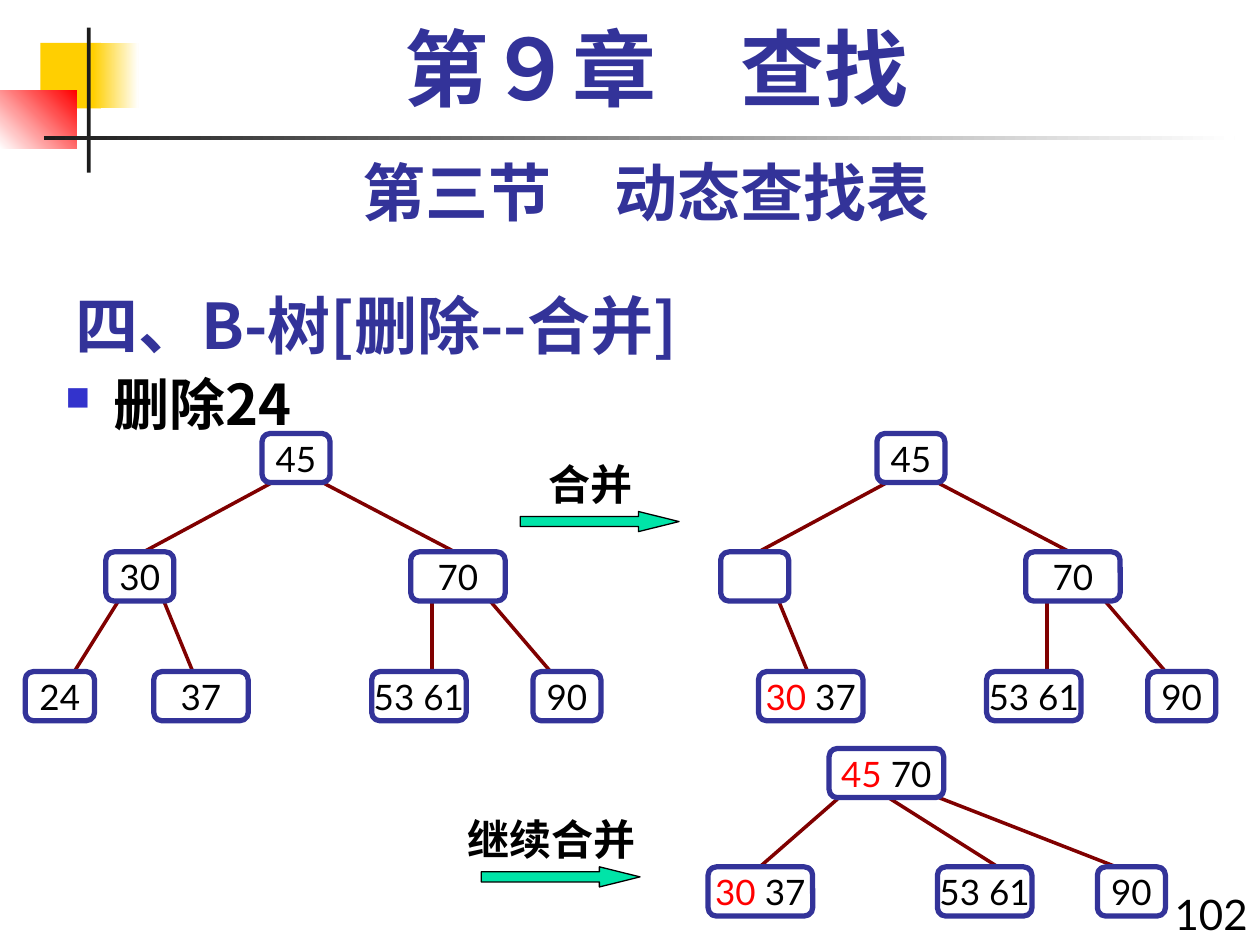
"""Build the slide on deleting a key from a B-tree by merging nodes."""
from lxml.etree import SubElement
from pptx import Presentation
from pptx.dml.color import RGBColor
from pptx.enum.shapes import MSO_CONNECTOR, MSO_SHAPE
from pptx.enum.text import MSO_ANCHOR, PP_ALIGN
from pptx.oxml.ns import qn
from pptx.util import Inches, Pt

BLACK = RGBColor(0x00, 0x00, 0x00)
WHITE = RGBColor(0xFF, 0xFF, 0xFF)
DARK = RGBColor(0x1C, 0x1C, 0x1C)
NAVY = RGBColor(0x33, 0x33, 0x99)
RED = RGBColor(0xFF, 0x00, 0x00)
GOLD = RGBColor(0xFF, 0xCF, 0x01)
GREEN = RGBColor(0x00, 0xE4, 0xA8)
MAROON = RGBColor(0x80, 0x00, 0x00)
NOTO = "Noto Sans CJK SC"
LATO = "Lato"
TIMES = "Times New Roman"
HIGH = 0.39


class Deck:
    """Hold the style and the current slide."""

    def __init__(self):
        self.prs = Presentation()
        self.prs.slide_width = Inches(10)
        self.prs.slide_height = Inches(7.5)
        self.slide = self.prs.slides.add_slide(self.prs.slide_layouts[6])
        self.shapes = self.slide.shapes

    def shape(self, kind, box, root=None):
        """Add a preset shape without shadow."""
        item = (root or self.shapes).add_shape(kind, *map(Inches, box))
        item.shadow.inherit = False
        return item

    def run(self, para, text, size, font=LATO, color=BLACK, bold=False):
        """Add one styled run."""
        run = para.add_run()
        run.text = text
        run.font.size = Pt(size)
        run.font.name = font
        run.font.bold = bold
        run.font.color.rgb = color
        SubElement(run.font._element, qn("a:ea")).set("typeface", NOTO)

    def text(self, box, text, size, font=LATO, color=BLACK, bold=True,
             align=PP_ALIGN.CENTER, anchor=MSO_ANCHOR.TOP):
        """Add a text box and return its paragraph."""
        frame = self.shapes.add_textbox(*map(Inches, box)).text_frame
        frame.word_wrap = True
        frame.vertical_anchor = anchor
        para = frame.paragraphs[0]
        para.alignment = align
        self.run(para, text, size, font, color, bold)
        return para

    def bullet(self, box, text):
        """Add a bulleted line."""
        para = self.text(box, text, 32, NOTO, align=PP_ALIGN.LEFT)
        props = para._p.get_or_add_pPr()
        props.set("marL", str(Inches(0.38)))
        props.set("indent", str(Inches(-0.38)))
        color = SubElement(props, qn("a:buClr"))
        SubElement(color, qn("a:srgbClr")).set("val", "3333CC")
        SubElement(props, qn("a:buSzPct")).set("val", "60000")
        SubElement(props, qn("a:buChar")).set("char", "■")

    def block(self, box, start, end=None, angle=0):
        """Add a borderless block, plain or with a gradient."""
        item = self.shape(MSO_SHAPE.RECTANGLE, box)
        item.line.fill.background()
        if end is None:
            item.fill.solid()
            item.fill.fore_color.rgb = start
            return
        item.fill.gradient()
        item.fill.gradient_angle = angle
        for stop, color, place in zip(item.fill.gradient_stops, (start, end), (0, 1)):
            stop.color.rgb = color
            stop.position = place

    def arrow(self, left, top, label):
        """Add a step arrow with its label above."""
        item = self.shape(MSO_SHAPE.RIGHT_ARROW, (left, top, 1.26, 0.16))
        item.adjustments[1] = 2.017
        item.fill.solid()
        item.fill.fore_color.rgb = GREEN
        item.line.color.rgb = BLACK
        item.line.width = Pt(0.75)
        self.text((left - 0.31, top - 0.47, 1.73, 0.5), label, 24)

    def node(self, root, left, top, width, keys, moved=""):
        """Add a tree node, with any moved key in red."""
        item = self.shape(MSO_SHAPE.ROUNDED_RECTANGLE, (left, top, width, HIGH), root)
        item.fill.background()
        item.line.color.rgb = NAVY
        item.line.width = Pt(3)
        frame = item.text_frame
        frame.word_wrap = False
        frame.vertical_anchor = MSO_ANCHOR.MIDDLE
        para = frame.paragraphs[0]
        para.alignment = PP_ALIGN.CENTER
        for text, color in ((moved, RED), (keys, BLACK)):
            if text:
                self.run(para, text, 20, color=color)

    def edge(self, root, start, end):
        """Add a line from parent to child."""
        line = root.add_connector(MSO_CONNECTOR.STRAIGHT, *map(Inches, start + end))
        line.line.color.rgb = MAROON
        line.line.width = Pt(2)
        SubElement(line._element.spPr, qn("a:effectLst"))

    def tree(self, rows, nodes, edges, shift=0):
        """Add a grouped tree; nodes and edges name their row."""
        root = self.shapes.add_group_shape().shapes
        for row, left, width, *keys in nodes:
            self.node(root, left + shift, rows[row], width, *keys)
        for row, start, end in edges:
            self.edge(root, (start + shift, rows[row] + HIGH),
                      (end + shift, rows[row + 1]))


def main():
    """Build and save the slide."""
    deck = Deck()
    deck.block((0.32, 0.34, 0.48, 0.52), GOLD)
    deck.block((0.74, 0.34, 0.36, 0.52), GOLD, WHITE)
    deck.block((0, 0.72, 0.61, 0.46), WHITE, RED, 45)
    deck.block((0.69, 0.22, 0.03, 1.15), DARK)
    deck.block((0.35, 1.08, 9.45, 0.03), DARK, WHITE)

    deck.text((0.5, 2.17, 6.83, 0.75), "四、B-树[删除--合并]", 36, NOTO, NAVY,
              align=PP_ALIGN.LEFT, anchor=MSO_ANCHOR.BOTTOM)
    deck.text((0.5, 1.17, 9.25, 0.7), "第三节　动态查找表", 36, color=NAVY)
    deck.bullet((0.42, 2.88, 9.58, 1.96), "删除24")
    head = deck.text((0.67, 0.17, 9.08, 0.83), "第９章　查找", 48, TIMES, NAVY)
    head.line_spacing = 0.9
    deck.text((9.06, 7, 0.94, 0.5), "102", 24, bold=False, align=PP_ALIGN.RIGHT)

    rows = (3.44, 4.38, 5.33)
    nodes = [(0, 2.08, 0.54, "45"), (1, 3.26, 0.75, "70"),
             (2, 2.95, 0.75, "53 61"), (2, 4.23, 0.54, "90")]
    edges = [(0, 2.16, 1.14), (0, 2.56, 3.61), (1, 1.3, 1.53),
             (1, 3.43, 3.43), (1, 3.89, 4.37)]
    full = [(1, 0.84, 0.54, "30"), (2, 0.2, 0.55, "24"), (2, 1.22, 0.75, "37")]
    less = [(1, 0.84, 0.54, ""), (2, 1.14, 0.83, " 37", "30")]
    deck.tree(rows, nodes + full, edges + [(1, 0.94, 0.59)])
    deck.tree(rows, nodes + less, edges, 4.88)
    deck.tree((5.94, 6.88),
              [(0, 6.58, 0.91, " 70", "45"), (1, 5.62, 0.83, " 37", "30"),
               (1, 7.44, 0.75, "53 61"), (1, 8.71, 0.54, "90")],
              [(0, 6.66, 6.03), (0, 7.05, 7.92), (0, 7.45, 8.86)])

    deck.arrow(4.13, 4.06, "合并")
    deck.arrow(3.82, 6.88, "继续合并")
    deck.prs.save("out.pptx")


if __name__ == "__main__":
    main()
